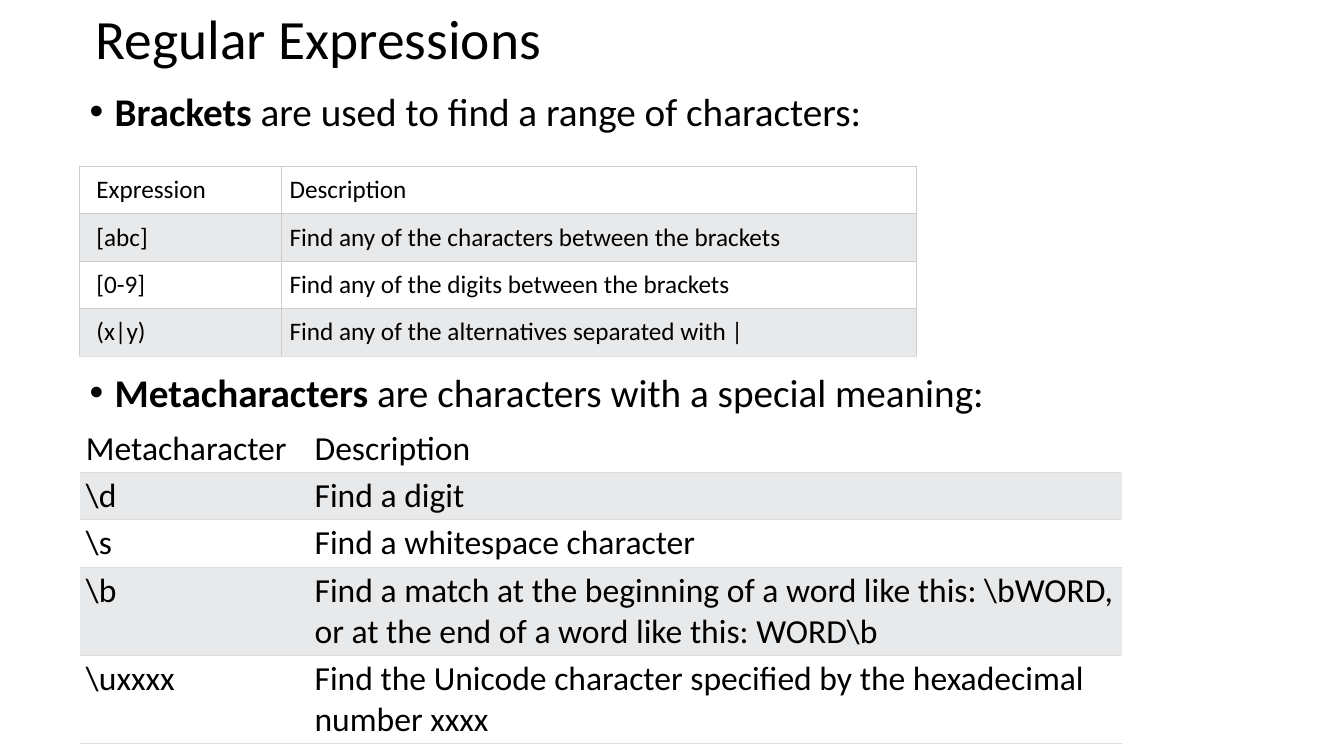
from lxml import etree
from pptx import Presentation
from pptx.dml.color import RGBColor
from pptx.enum.text import MSO_ANCHOR
from pptx.oxml.ns import qn
from pptx.util import Pt

MIDDLE, TOP = MSO_ANCHOR.MIDDLE, MSO_ANCHOR.TOP
FONT, BLACK, WHITE, BAND = "Calibri", "000000", "FFFFFF", "E7E9EB"
GRID, RULE = "CCCCCC", "DDDDDD"

# Content
TITLE = "Regular Expressions"
BULLETS = [  # bold term, rest of the line, space before
    ("Brackets", " are used to find a range of characters:", 10),
    ("Metacharacters", " are characters with a special meaning:", 170.5),
]
BRACKETS = {
    "rows": [
        ("Expression", "Description"),
        ("[abc]", "Find any of the characters between the brackets"),
        ("[0-9]", "Find any of the digits between the brackets"),
        ("(x|y)", "Find any of the alternatives separated with |"),
    ],
    "top": 118.8, "widths": (144, 453.6), "heights": [33.9] * 4,
    "size": 18, "inset": 6, "boxed": True,
}
METACHARACTERS = {
    "rows": [
        ("Metacharacter", "Description"),
        (r"\d", "Find a digit"),
        (r"\s", "Find a whitespace character"),
        (r"\b", r"Find a match at the beginning of a word like this: \bWORD, "
                r"or at the end of a word like this: WORD\b"),
        (r"\uxxxx", "Find the Unicode character specified by the hexadecimal number xxxx"),
    ],
    "top": 303.8, "widths": (165.6, 578.9), "heights": [33.8] * 3 + [63.1] * 2,
    "size": 24, "inset": 2.25, "boxed": False,
}
TABLE_LEFT = 56.9


def color(hex_value):
    return RGBColor.from_string(hex_value)


def add_run(paragraph, text, size, bold=False):
    run = paragraph.add_run()
    run.text = text
    for name, value in {"name": FONT, "size": Pt(size), "bold": bold}.items():
        setattr(run.font, name, value)
    run.font.color.rgb = color(BLACK)


def add_text_frame(slide, left, top, width, height, anchor):
    shape = slide.shapes.add_textbox(Pt(left), Pt(top), Pt(width), Pt(height))
    frame = shape.text_frame
    frame.word_wrap = True
    frame.vertical_anchor = anchor
    return frame


def set_bullet(paragraph):
    properties = paragraph._p.get_or_add_pPr()
    properties.set("marL", str(Pt(18)))
    properties.set("indent", str(-Pt(18)))
    etree.SubElement(properties, qn("a:buFont")).set("typeface", "Arial")
    etree.SubElement(properties, qn("a:buChar")).set("char", "•")


def set_borders(cell, sides):
    """Draw left, right, top and bottom lines; None leaves a side bare."""
    properties = cell._tc.get_or_add_tcPr()
    for index, (side, hex_value) in enumerate(zip("LRTB", sides)):
        line = etree.Element(qn(f"a:ln{side}"), w=str(Pt(0.75)))
        if hex_value:
            fill = etree.SubElement(line, qn("a:solidFill"))
            etree.SubElement(fill, qn("a:srgbClr")).set("val", hex_value)
        else:
            etree.SubElement(line, qn("a:noFill"))
        properties.insert(index, line)


def border_colors(row, last, boxed):
    if boxed:
        return GRID, GRID, GRID, RULE if row == last else GRID
    return None, None, RULE if row else None, RULE


def add_table(slide, data):
    rows, widths, heights = data["rows"], data["widths"], data["heights"]
    table = slide.shapes.add_table(
        len(rows), len(widths), Pt(TABLE_LEFT), Pt(data["top"]),
        Pt(sum(widths)), Pt(sum(heights))).table
    table.first_row = table.horz_banding = False
    for column, width in zip(table.columns, widths):
        column.width = Pt(width)
    for row, (texts, height) in enumerate(zip(rows, heights)):
        table.rows[row].height = Pt(height)
        for column, text in enumerate(texts):
            cell = table.cell(row, column)
            for side in ("left", "right", "top", "bottom"):
                doubled = side == "left" and column == 0
                setattr(cell, f"margin_{side}", Pt(data["inset"] * (2 if doubled else 1)))
            cell.vertical_anchor = TOP
            cell.fill.solid()
            cell.fill.fore_color.rgb = color(BAND if row % 2 else WHITE)
            set_borders(cell, border_colors(row, len(rows) - 1, data["boxed"]))
            add_run(cell.text_frame.paragraphs[0], text, data["size"])


def main():
    presentation = Presentation()
    presentation.slide_width, presentation.slide_height = Pt(960), Pt(540)
    slide = presentation.slides.add_slide(presentation.slide_layouts[6])

    # Title
    paragraph = add_text_frame(slide, 61.2, 7.9, 828, 43.2, MIDDLE).paragraphs[0]
    paragraph.line_spacing = 0.9
    add_run(paragraph, TITLE, 39.6)

    # Bulleted statements, spaced to leave room for the first table
    frame = add_text_frame(slide, 56.9, 62.6, 828, 342.7, TOP)
    for index, (term, rest, space) in enumerate(BULLETS):
        paragraph = frame.add_paragraph() if index else frame.paragraphs[0]
        paragraph.line_spacing = 0.9
        paragraph.space_before = Pt(space)
        set_bullet(paragraph)
        add_run(paragraph, term, 28, True)
        add_run(paragraph, rest, 28)

    # Tables
    for data in (BRACKETS, METACHARACTERS):
        add_table(slide, data)

    presentation.save("out.pptx")


if __name__ == "__main__":
    main()
